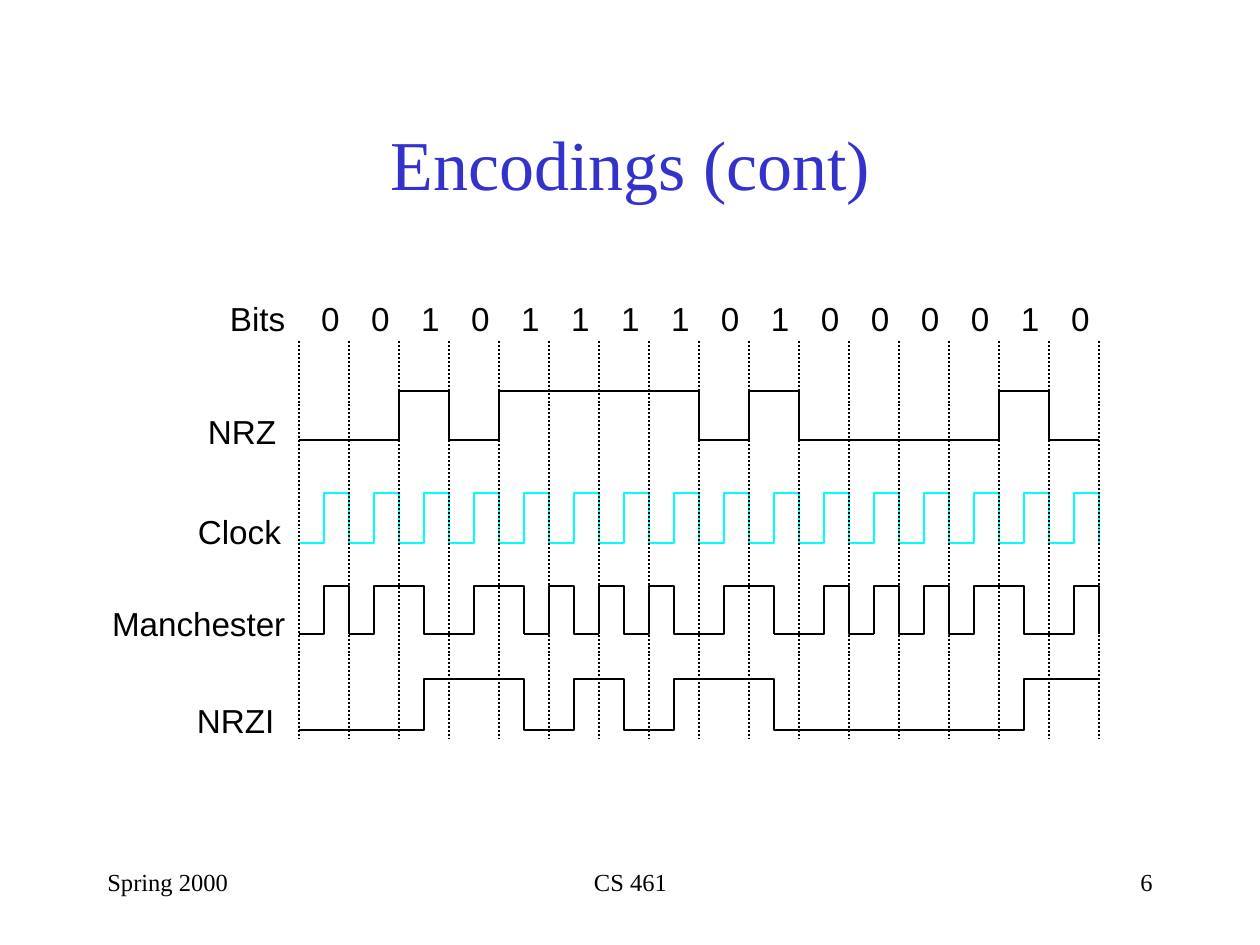
"""Build the slide comparing NRZ, clock, Manchester and NRZI encodings of one bit string."""
from itertools import accumulate, pairwise

from pptx import Presentation
from pptx import util as u
from pptx.dml.color import RGBColor
from pptx.enum import dml, shapes, text
from pptx.oxml.ns import qn

BLACK = RGBColor(0, 0, 0)
BLUE = RGBColor(0x33, 0x33, 0xCC)
CYAN = RGBColor(0, 0xFF, 0xFF)
BITS = "0010111101000010"
LEFT, BIT = 299, 50
HALF = BIT // 2


def px(n):
    return round(n * 914400 / 126)


class Board:
    """Style and current slide, with one method per kind of element."""

    serif, sans = "Times New Roman", "Arial"
    line_width = u.Pt(1.13)

    def __init__(self, prs):
        self.slide = prs.slides.add_slide(prs.slide_layouts[5])

    def font(self, p, name, size, color):
        p.font.name, p.font.size = name, u.Pt(size)
        p.font.color.rgb = color

    def pen(self, line, color):
        line.color.rgb, line.width = color, self.line_width

    def title(self, words, x, y, w, h):
        sp = self.slide.shapes.title
        sp.left, sp.top, sp.width, sp.height = map(px, (x, y, w, h))
        tf = sp.text_frame
        tf.text = words
        tf.vertical_anchor = text.MSO_ANCHOR.MIDDLE
        p = tf.paragraphs[0]
        p.alignment = text.PP_ALIGN.CENTER
        self.font(p, self.serif, 40, BLUE)

    def label(self, words, x, y, w):
        tf = self.slide.shapes.add_textbox(px(x), px(y), px(w), px(40)).text_frame
        tf.margin_left = tf.margin_top = tf.margin_right = tf.margin_bottom = 0
        tf.word_wrap = False
        tf.auto_size = text.MSO_AUTO_SIZE.SHAPE_TO_FIT_TEXT
        tf.text = words
        p = tf.paragraphs[0]
        p.alignment = text.PP_ALIGN.LEFT
        self.font(p, self.sans, 19, BLACK)

    def footer(self, words, x, w, align):
        tf = self.slide.shapes.add_textbox(px(x), px(861), px(w), px(63)).text_frame
        tf.word_wrap = True
        tf.text = words
        p = tf.paragraphs[0]
        p.alignment = align
        self.font(p, self.serif, 14, BLACK)

    def wave(self, levels, high, low, cuts, color=BLACK, falls=True):
        """Draw half-bit levels as one outline per stretch between cuts."""
        for start, end in pairwise(cuts):
            points = [(LEFT + HALF * start, low)]
            for i in range(start, end):
                y = high if levels[i] else low
                if y != points[-1][1]:
                    points.append((LEFT + HALF * i, y))
                if i + 1 == end or levels[i + 1] != levels[i]:
                    points.append((LEFT + HALF * (i + 1), y))
            if falls and points[-1][1] != low:
                points.append((points[-1][0], low))
            fb = self.slide.shapes.build_freeform(*points[0], scale=px(1))
            fb.add_line_segments(points[1:], close=False)
            sp = fb.convert_to_shape()
            sp.shadow.inherit = False
            sp.fill.background()
            self.pen(sp.line, color)

    def dotted(self, x, top, bottom):
        c = self.slide.shapes.add_connector(
            shapes.MSO_CONNECTOR.STRAIGHT, px(x), px(top), px(x), px(bottom))
        self.pen(c.line, BLACK)
        c.line.dash_style = dml.MSO_LINE.ROUND_DOT
        sppr = c._element.spPr
        sppr.append(sppr.makeelement(qn("a:effectLst"), {}))


def main():
    prs = Presentation()
    prs.slide_width, prs.slide_height = px(1260), px(945)
    board = Board(prs)
    board.title("Encodings (cont)", 95, 84, 1071, 158)

    for words, x, y, w in (("Bits", 230, 298, 62), ("NRZ", 208, 411, 76),
                           ("Clock", 198, 511, 90), ("Manchester", 112, 603, 180),
                           ("NRZI", 197, 700, 86)):
        board.label(words, x, y, w)
    for i, bit in enumerate(BITS):
        board.label(bit, 321 + BIT * i, 298, 20)

    halves = 2 * len(BITS)
    nrz = [int(b) for b in BITS for _ in range(2)]
    clock = [i % 2 for i in range(halves)]
    manchester = [n ^ c for n, c in zip(nrz, clock)]
    nrzi = list(accumulate((n & c for n, c in zip(nrz, clock)), lambda a, b: a ^ b))

    board.wave(manchester, 586, 634, (0, 2, 9, 12, 19, 23, halves))
    board.wave(nrz, 391, 440, (0, halves))
    board.wave(nrzi, 679, 730, (0, halves), falls=False)
    board.wave(clock, 493, 543, range(0, halves + 1, 2), CYAN)
    for i in range(len(BITS) + 1):
        board.dotted(LEFT + BIT * i, 341, 738)

    board.footer("CS 461", 431, 399, text.PP_ALIGN.CENTER)
    board.footer("6", 903, 262, text.PP_ALIGN.RIGHT)
    board.footer("Spring 2000", 95, 262, text.PP_ALIGN.LEFT)
    prs.save("out.pptx")


if __name__ == "__main__":
    main()
